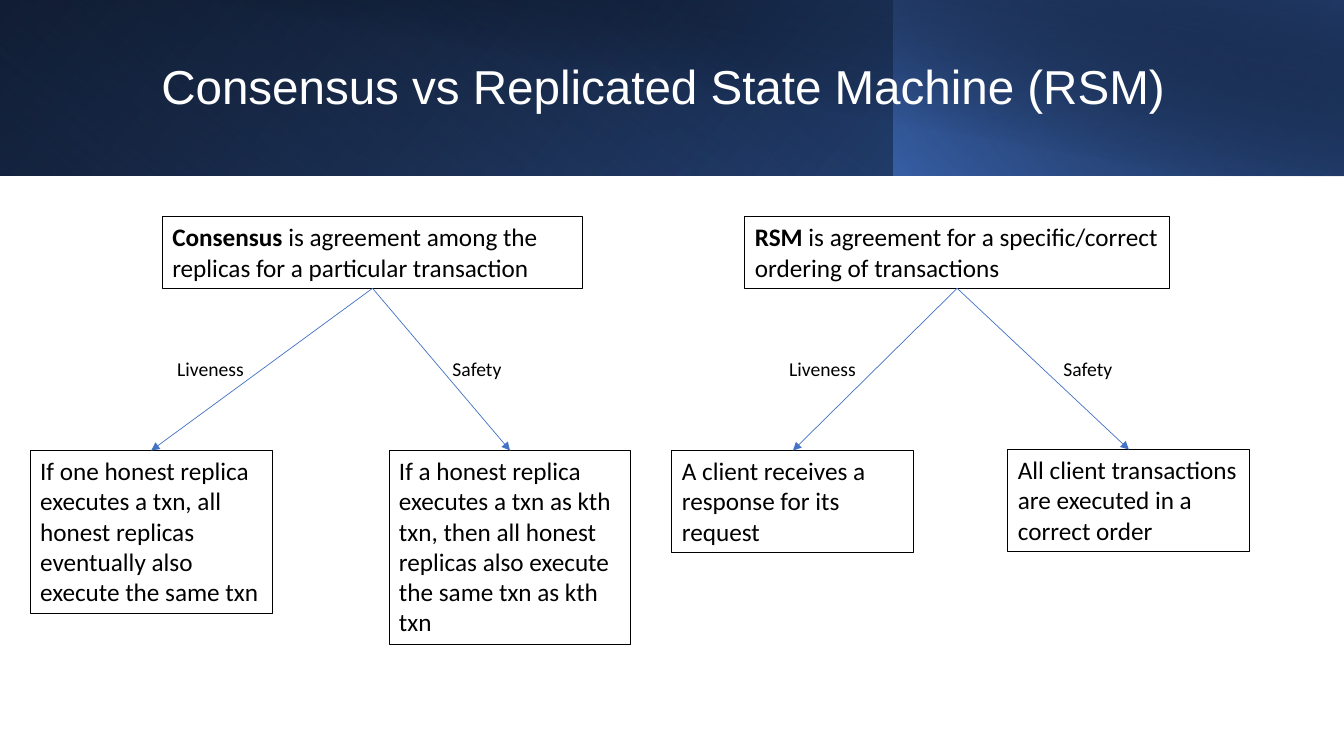
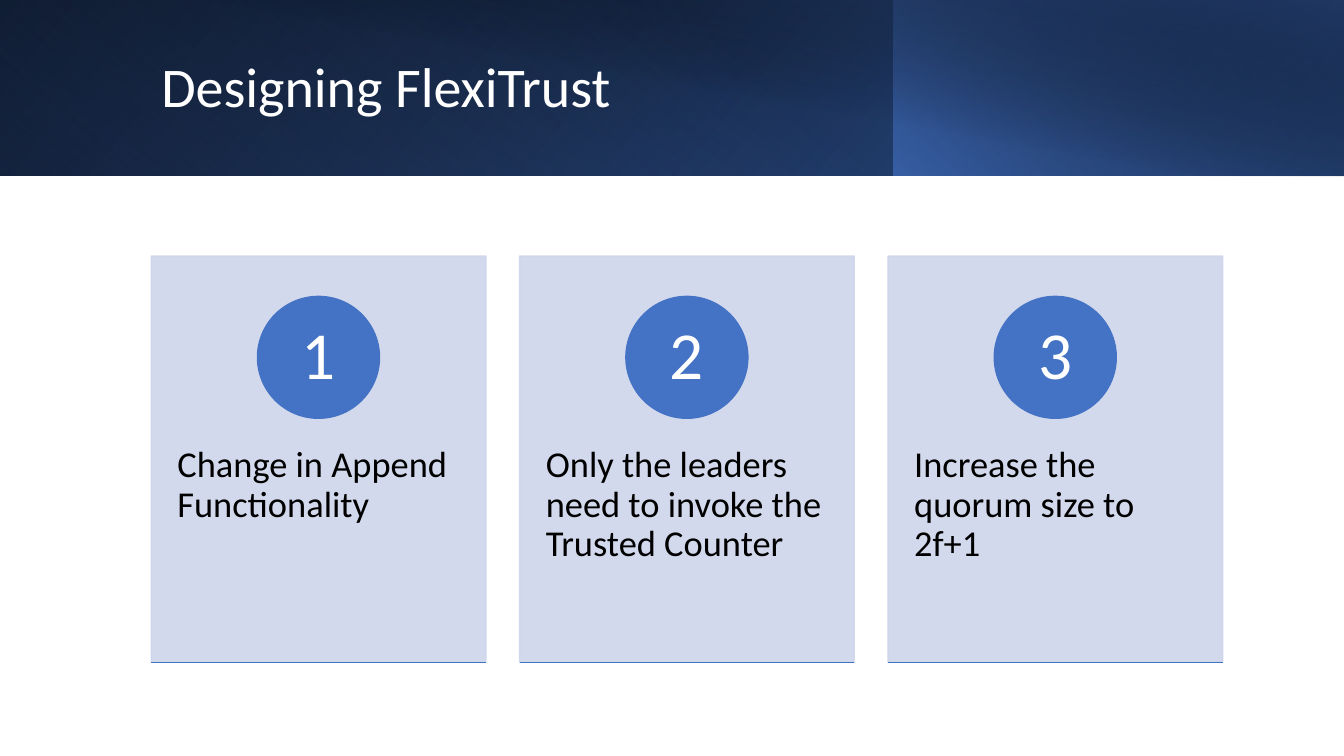
from dataclasses import dataclass
from typing import NamedTuple

from pptx import Presentation
from pptx.dml.color import RGBColor
from pptx.enum.shapes import MSO_CONNECTOR, MSO_SHAPE
from pptx.enum.text import MSO_ANCHOR, MSO_AUTO_SIZE, PP_ALIGN
from pptx.oxml import parse_xml
from pptx.oxml.ns import nsdecls, qn
from pptx.shapes.autoshape import Shape
from pptx.shapes.connector import Connector
from pptx.slide import Slide
from pptx.util import Inches, Length, Pt

RECT, OVAL = MSO_SHAPE.RECTANGLE, MSO_SHAPE.OVAL
STRAIGHT = MSO_CONNECTOR.STRAIGHT
TOP, MIDDLE = MSO_ANCHOR.TOP, MSO_ANCHOR.MIDDLE
LEFT, CENTER = PP_ALIGN.LEFT, PP_ALIGN.CENTER
GROW, FIXED = MSO_AUTO_SIZE.SHAPE_TO_FIT_TEXT, MSO_AUTO_SIZE.NONE
TITLE_ONLY = 5


# Theme
@dataclass(frozen=True)
class Theme:
    ink: str = "000000"
    paper: str = "FFFFFF"
    accent: str = "4472C4"
    deep: str = "2F5597"
    navy: str = "203864"
    panel: str = "CFD5EA"
    body_font: str = "Calibri"
    alt_font: str = "Arial"
    label_size: int = 14
    box_size: int = 18
    card_size: int = 26
    long_title_size: int = 34
    title_size: int = 40
    number_size: int = 48
    tight: float = 0.9


THEME = Theme()

# Grid: 100 columns by 100 rows over the whole slide
SLIDE_WIDTH, SLIDE_HEIGHT = Inches(13.33), Inches(7.5)


def cols(count: float) -> Length:
    return Length(round(SLIDE_WIDTH * count / 100))


def rows(count: float) -> Length:
    return Length(round(SLIDE_HEIGHT * count / 100))


class Area(NamedTuple):
    col: float
    row: float
    width: float
    height: float

    @property
    def middle(self) -> float:
        return self.col + self.width / 2

    @property
    def bottom(self) -> float:
        return self.row + self.height

    def lengths(self) -> tuple[Length, Length, Length, Length]:
        return cols(self.col), rows(self.row), cols(self.width), rows(self.height)


class Words(NamedTuple):
    text: str
    bold: bool = False


class Stop(NamedTuple):
    position: int
    color: str
    opacity: int = 100


class Band(NamedTuple):
    area: Area
    stops: tuple[Stop, Stop]
    angle: int
    flipped: bool = True
    rotation: int = 0


class Property(NamedTuple):
    name: str
    name_col: float
    statement: str
    area: Area


class Concept(NamedTuple):
    definition: tuple[Words, Words]
    area: Area
    properties: tuple[Property, Property]


# Content
BANDS = (
    Band(Area(0, 0, 100, 23.2),
         (Stop(0, THEME.ink), Stop(100, THEME.deep)), 140),
    Band(Area(0, 0, 66.6, 23.2),
         (Stop(20, THEME.accent, 0), Stop(100, THEME.navy, 55)), 230, rotation=180),
    Band(Area(66.52, 0, 33.48, 23.2),
         (Stop(0, THEME.accent, 66), Stop(100, THEME.ink, 30)), 220),
    Band(Area(3.75, 0, 96.25, 23.33),
         (Stop(50, THEME.ink, 0), Stop(99, THEME.navy, 52)), 280, flipped=False),
)
TITLE_AREA = Area(11.25, 4.27, 81.15, 15.07)

DEFINITION_ROW, DEFINITION_HEIGHT = 28.67, 9.47
STATEMENT_ROW, STATEMENT_WIDTH = 59.6, 18
NAME_ROW, NAME_WIDTH, NAME_HEIGHT = 46.53, 7.13, 4.53

CONCEPTS = (
    Concept(
        (Words("Consensus", True),
         Words(" is agreement among the replicas for a particular transaction")),
        Area(12.08, DEFINITION_ROW, 31.28, DEFINITION_HEIGHT),
        (Property("Liveness", 12.45,
                  "If one honest replica executes a txn, all honest replicas "
                  "eventually also execute the same txn",
                  Area(2.25, STATEMENT_ROW, STATEMENT_WIDTH, 21.6)),
         Property("Safety", 32.93,
                  "If a honest replica executes a txn as kth txn, then all honest "
                  "replicas also execute the same txn as kth txn",
                  Area(28.95, STATEMENT_ROW, STATEMENT_WIDTH, 25.6))),
    ),
    Concept(
        (Words("RSM", True),
         Words(" is agreement for a specific/correct ordering of transactions")),
        Area(55.43, DEFINITION_ROW, 31.58, DEFINITION_HEIGHT),
        (Property("Liveness", 57.98, "A client receives a response for its request",
                  Area(50, STATEMENT_ROW, STATEMENT_WIDTH, 13.47)),
         Property("Safety", 78.38,
                  "All client transactions are executed in a correct order",
                  Area(75, 59.47, STATEMENT_WIDTH, 13.47))),
    ),
)

STEPS = (
    "Change in Append Functionality",
    "Only the leaders need to invoke the Trusted Counter",
    "Increase the quorum size to 2f+1",
)
FIRST_CARD = Area(11.25, 33.87, 24.9, 53.73)
CARD_PITCH = 27.41
STEP_ROW, STEP_HEIGHT = 54.27, 32.27
DISC_ROW, DISC_WIDTH, DISC_HEIGHT = 39.2, 9.08, 16.13


# Drawing tools
def rgb(color: str) -> RGBColor:
    return RGBColor.from_string(color)


def write(shape: Shape, words: tuple[Words, ...], size: int, *,
          color: str = THEME.ink, font: str = THEME.body_font,
          align: PP_ALIGN = LEFT, anchor: MSO_ANCHOR = TOP,
          fit: MSO_AUTO_SIZE = FIXED, spacing: float = 1.0) -> None:
    frame = shape.text_frame
    frame.word_wrap = True
    frame.auto_size = fit
    frame.vertical_anchor = anchor
    paragraph = frame.paragraphs[0]
    paragraph.alignment = align
    paragraph.line_spacing = spacing
    for part in words:
        run = paragraph.add_run()
        run.text = part.text
        run.font.name = font
        run.font.size = Pt(size)
        run.font.bold = part.bold
        run.font.color.rgb = rgb(color)


def add_figure(slide: Slide, area: Area, *, kind: MSO_SHAPE = RECT,
               fill: str | None = None, line: str | None = None,
               weight: float = 1) -> Shape:
    figure = slide.shapes.add_shape(kind, *area.lengths())
    figure.shadow.inherit = False
    if fill:
        figure.fill.solid()
        figure.fill.fore_color.rgb = rgb(fill)
    else:
        figure.fill.background()
    if line:
        figure.line.color.rgb = rgb(line)
        figure.line.width = Pt(weight)
    else:
        figure.line.fill.background()
    return figure


def add_line(slide: Slide, start: tuple[float, float], end: tuple[float, float],
             weight: float) -> Connector:
    line = slide.shapes.add_connector(
        STRAIGHT, cols(start[0]), rows(start[1]), cols(end[0]), rows(end[1]))
    line.line.color.rgb = rgb(THEME.accent)
    line.line.width = Pt(weight)
    line._element.spPr.append(parse_xml(f"<a:effectLst {nsdecls('a')}/>"))
    return line


def add_arrow(slide: Slide, start: tuple[float, float],
              end: tuple[float, float]) -> None:
    arrow = add_line(slide, start, end, 0.5)
    outline = arrow._element.spPr.find(qn("a:ln"))
    outline.append(parse_xml(f'<a:tailEnd {nsdecls("a")} type="triangle"/>'))


def set_opacity(shape: Shape, percent: int) -> None:
    for color in list(shape._element.spPr.iter(qn("a:srgbClr"))):
        color.append(parse_xml(f'<a:alpha {nsdecls("a")} val="{percent * 1000}"/>'))


def add_band(slide: Slide, band: Band) -> None:
    shape = add_figure(slide, band.area)
    shape.rotation = band.rotation
    properties = shape._element.spPr
    if band.flipped:
        properties.find(qn("a:xfrm")).set("flipH", "1")
    stops = "".join(
        f'<a:gs pos="{stop.position * 1000}"><a:srgbClr val="{stop.color}">'
        f'<a:alpha val="{stop.opacity * 1000}"/></a:srgbClr></a:gs>'
        for stop in band.stops)
    gradient = parse_xml(
        f'<a:gradFill {nsdecls("a")} rotWithShape="1"><a:gsLst>{stops}</a:gsLst>'
        f'<a:lin ang="{band.angle * 60000}" scaled="0"/></a:gradFill>')
    properties.replace(properties.find(qn("a:noFill")), gradient)


def add_titled_slide(deck: Presentation, heading: str, size: int, font: str) -> Slide:
    slide = deck.slides.add_slide(deck.slide_layouts[TITLE_ONLY])
    for band in BANDS:
        add_band(slide, band)
    title = slide.shapes.title
    title.left, title.top, title.width, title.height = TITLE_AREA.lengths()
    write(title, (Words(heading),), size, color=THEME.paper, font=font,
          anchor=MIDDLE, spacing=THEME.tight)
    slide.shapes._spTree.append(title._element)  # in front of the bands
    return slide


# Parts of the slides
def add_statement(slide: Slide, area: Area, words: tuple[Words, ...]) -> None:
    box = add_figure(slide, area, line=THEME.ink, weight=0.75)
    write(box, words, THEME.box_size, fit=GROW)


def add_concept(slide: Slide, concept: Concept) -> None:
    add_statement(slide, concept.area, concept.definition)
    for prop in concept.properties:
        add_statement(slide, prop.area, (Words(prop.statement),))
        add_arrow(slide, (concept.area.middle, concept.area.bottom),
                  (prop.area.middle, prop.area.row))
        name_area = Area(prop.name_col, NAME_ROW, NAME_WIDTH, NAME_HEIGHT)
        name = slide.shapes.add_textbox(*name_area.lengths())
        write(name, (Words(prop.name),), THEME.label_size, fit=GROW)


def add_step(slide: Slide, index: int, step: str) -> None:
    area = FIRST_CARD._replace(col=FIRST_CARD.col + index * CARD_PITCH)
    card = add_figure(slide, area, fill=THEME.panel, line=THEME.panel)
    set_opacity(card, 90)

    step_area = area._replace(row=STEP_ROW, height=STEP_HEIGHT)
    step_text = slide.shapes.add_textbox(*step_area.lengths())
    frame = step_text.text_frame
    frame.margin_left = frame.margin_right = cols(1.95)
    frame.margin_top = frame.margin_bottom = rows(4.8)
    write(step_text, (Words(step),), THEME.card_size, spacing=THEME.tight)

    disc_area = Area(area.middle - DISC_WIDTH / 2, DISC_ROW, DISC_WIDTH, DISC_HEIGHT)
    disc = add_figure(slide, disc_area, kind=OVAL, fill=THEME.accent, line=THEME.accent)
    disc.text_frame.margin_top = disc.text_frame.margin_bottom = rows(0.13)
    write(disc, (Words(str(index + 1)),), THEME.number_size, color=THEME.paper,
          align=CENTER, anchor=MIDDLE, spacing=THEME.tight)

    add_line(slide, (area.col, area.bottom), (area.col + area.width, area.bottom), 1)


# Slides
deck = Presentation()
deck.slide_width, deck.slide_height = SLIDE_WIDTH, SLIDE_HEIGHT

comparison = add_titled_slide(deck, "Consensus vs Replicated State Machine (RSM)",
                              THEME.long_title_size, THEME.alt_font)
for concept in CONCEPTS:
    add_concept(comparison, concept)

design = add_titled_slide(deck, "Designing FlexiTrust",
                          THEME.title_size, THEME.body_font)
for index, step in enumerate(STEPS):
    add_step(design, index, step)

deck.save("out.pptx")
